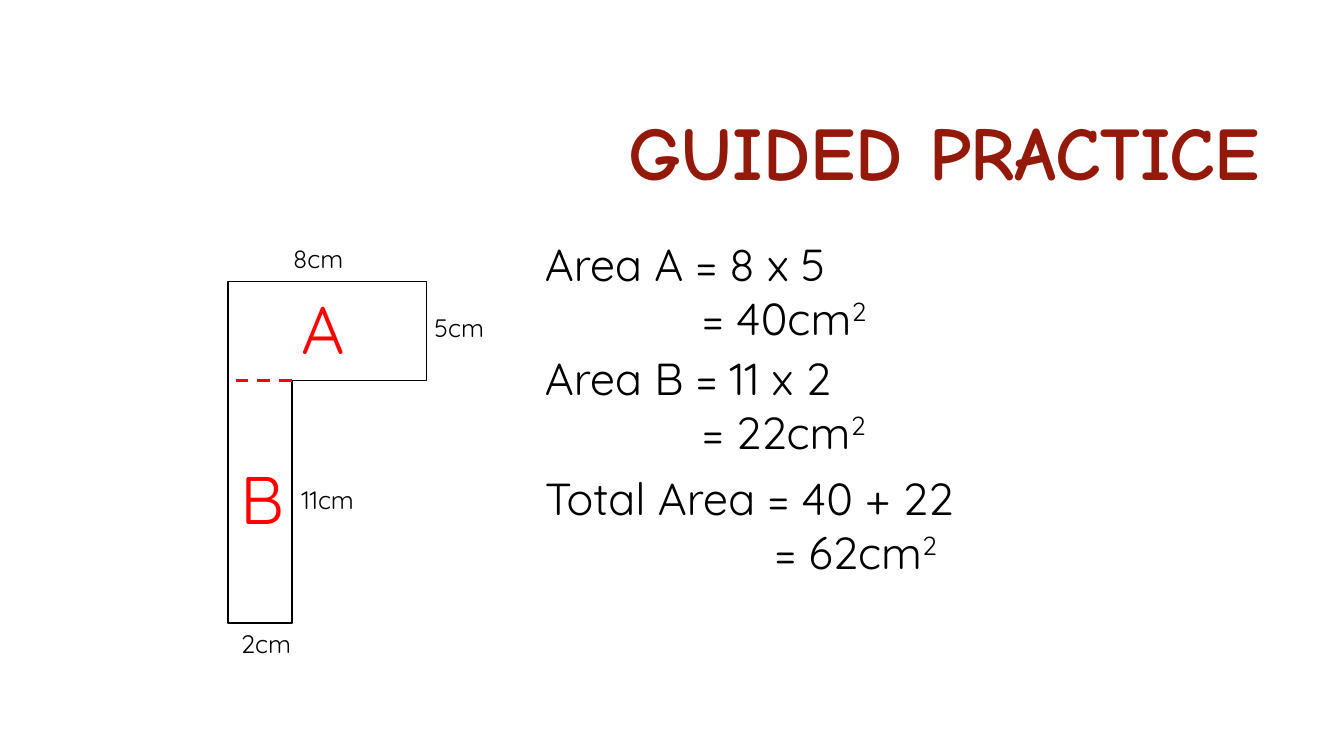
from pptx import Presentation, util as u
from pptx.dml.color import RGBColor
from pptx.enum import dml, shapes, text
from pptx.oxml.ns import qn
from lxml import etree

BLACK = RGBColor(0x00, 0x00, 0x00)
WHITE = RGBColor(0xFF, 0xFF, 0xFF)
RED = RGBColor(0xFF, 0x00, 0x00)
MAROON = RGBColor(0x93, 0x19, 0x0A)
BODY_FONT, TITLE_FONT = "Quicksand", "Comic Neue"
WIDTH, HEIGHT = u.Inches(13.33), u.Inches(7.5)

# Figure edges, in percent of the slide's size
FIG_LEFT, FIG_TOP, FIG_WIDTH, FIG_HEIGHT = 16.95, 37.2, 14.78, 45.2
LEG_SHARE, TOP_SHARE = 0.323, 0.5  # both relative to the figure's width


def across(share):
    return u.Emu(round(WIDTH * share / 100))


def down(share):
    return u.Emu(round(HEIGHT * share / 100))


def box(left, top, width, height):
    return across(left), down(top), across(width), down(height)


def format_run(r, size, color, font=BODY_FONT, bold=None):
    r.font.size, r.font.name, r.font.bold = u.Pt(size), font, bold
    r.font.color.rgb = color


def add_title(s, words):
    title = s.shapes.title
    title.left, title.top, title.width, title.height = box(23.78, 11.2, 70.67, 18.8)
    tf = title.text_frame
    tf.text = words
    tf.vertical_anchor = text.MSO_ANCHOR.MIDDLE
    p = tf.paragraphs[0]
    p.alignment, p.line_spacing = text.PP_ALIGN.RIGHT, 0.9
    format_run(p.runs[0], 54, MAROON, TITLE_FONT, True)


def add_text(s, words, place, size, color=BLACK):
    tf = s.shapes.add_textbox(*box(*place)).text_frame
    tf.word_wrap = True
    tf.auto_size = text.MSO_AUTO_SIZE.SHAPE_TO_FIT_TEXT
    tf.text = words
    format_run(tf.paragraphs[0].runs[0], size, color)
    return tf


def add_working(s, first, result, top, width, indent):
    """A calculation with its result indented below, in square centimetres."""
    tf = add_text(s, first, (39.8, top, width, 15.73), 32)
    p = tf.add_paragraph()
    p._p.get_or_add_pPr().set("marL", str(across(indent)))
    p.text = result
    power = p.add_run()
    power.text = "2"
    for r in p.runs:
        format_run(r, 32, BLACK)
    power.font._element.set("baseline", "30000")


def add_figure(s):
    # The corner shape stands on end, so its frame is turned about its centre
    left, top, width, height = box(FIG_LEFT, FIG_TOP, FIG_WIDTH, FIG_HEIGHT)
    shift = (height - width) // 2
    sp = s.shapes.add_shape(shapes.MSO_SHAPE.HALF_FRAME, left - shift, top + shift,
                            height, width)
    sp.rotation = 90
    sp.adjustments[0], sp.adjustments[1] = LEG_SHARE, TOP_SHARE
    # The L-shaped preset has no enum member; it takes the same two adjustments
    sp._element.spPr.find(qn("a:prstGeom")).set("prst", "corner")
    sp.shadow.inherit = False
    sp.fill.solid()
    sp.fill.fore_color.rgb = WHITE
    sp.line.color.rgb, sp.line.width = BLACK, u.Pt(1)


def add_divider(s):
    y = down(FIG_TOP) + round(across(FIG_WIDTH) * TOP_SHARE)
    inner = across(FIG_LEFT) + round(across(FIG_WIDTH) * LEG_SHARE)
    line = s.shapes.add_connector(shapes.MSO_CONNECTOR.STRAIGHT,
                                  inner, y, across(FIG_LEFT), y)
    line.line.color.rgb, line.line.width = RED, u.Pt(2.25)
    line.line.dash_style = dml.MSO_LINE.DASH
    etree.SubElement(line._element.spPr, qn("a:effectLst"))


def main():
    prs = Presentation()
    prs.slide_width, prs.slide_height = WIDTH, HEIGHT
    s = prs.slides.add_slide(prs.slide_layouts[5])
    add_title(s, "GUIDED PRACTICE")

    # Compound shape with its measurements
    add_figure(s)
    for words, left, top in (("5cm", 31.58, 40.67), ("11cm", 21.68, 63.47),
                             ("8cm", 21.08, 31.47), ("2cm", 17.18, 82.4)):
        add_text(s, words, (left, top, 8.25, 5.33), 18)

    # Split into two rectangles
    add_divider(s)
    for letter, left, top in (("A", 21.68, 37.33), ("B", 17.18, 59.87)):
        add_text(s, letter, (left, top, 6.53, 12.13), 48, RED)

    # Workings
    add_working(s, "Area A = 8 x 5", "= 40cm", 30.67, 27.16, 11.7)
    add_working(s, "Area B = 11 x 2", "= 22cm", 45.73, 27.16, 11.7)
    add_working(s, "Total Area = 40 + 22", "= 62cm", 61.6, 33.91, 17.1)
    prs.save("out.pptx")


if __name__ == "__main__":
    main()
